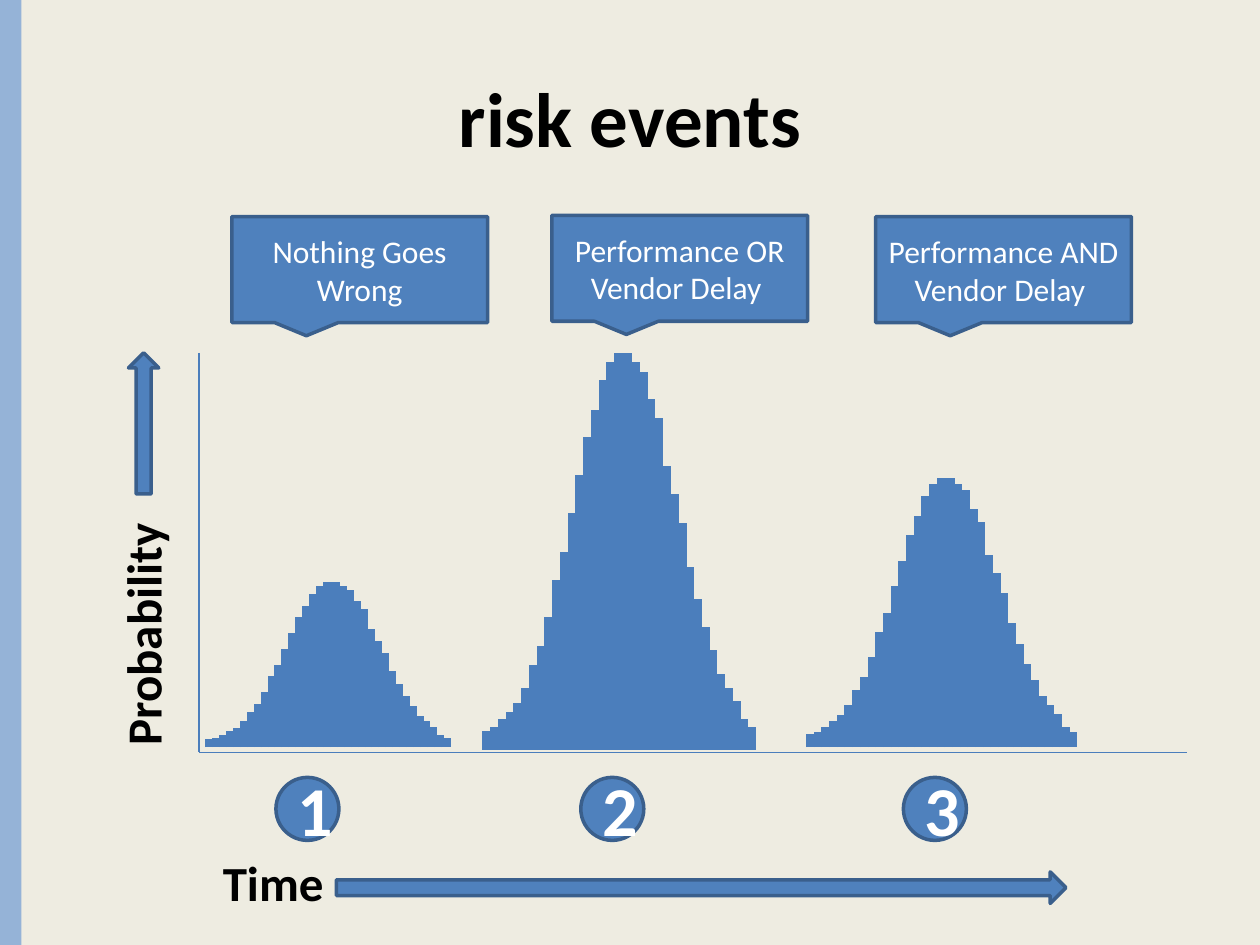
from pptx import Presentation
from pptx.dml.color import RGBColor
from pptx.enum.shapes import MSO_CONNECTOR, MSO_SHAPE
from pptx.enum.text import MSO_ANCHOR, PP_ALIGN
from pptx.oxml.ns import qn
from pptx.util import Inches, Pt
from lxml.etree import SubElement

FILL, OUTLINE, BAR = "4F81BD", "3A5F8C", "4B7EBC"
PEAK = 3.15
BELL = [0.15, 0.18, 0.24, 0.30, 0.37, 0.49, 0.67, 0.82, 1.05, 1.35, 1.57, 1.88,
        2.18, 2.48, 2.70, 2.93, 3.08, 3.15, 3.15, 3.08, 3.00, 2.78, 2.63, 2.25,
        2.03, 1.80, 1.45, 1.20, 0.97, 0.79, 0.60, 0.49, 0.39, 0.24, 0.18]
CURVES = [(1.67, 3.54, 5.93, 1.31), (6.44, 8.51, 5.93, 2.14), (3.87, 5.96, 5.95, PEAK)]
EVENTS = [(1.84, 1.72, "Nothing Goes Wrong", 2.19),
          (4.38, 1.71, "Performance OR Vendor Delay ", 4.61),
          (6.95, 1.72, "Performance AND Vendor Delay ", 7.17)]


def rgb(value):
    """Turn a hex string into a colour."""
    return RGBColor.from_string(value)


def write(tf, text, size, color, bold=False, align=None):
    """Write one run of text into a frame."""
    tf.word_wrap = True
    p = tf.paragraphs[0]
    p.alignment = align
    r = p.add_run()
    r.text = text
    r.font.name, r.font.size, r.font.bold = "Calibri", Pt(size), bold
    r.font.color.rgb = rgb(color)


def add_shape(s, kind, x, y, w, h, fill=FILL, line=OUTLINE):
    """Add a filled preset shape, outlined if a line colour is given."""
    sp = s.shapes.add_shape(kind, Inches(x), Inches(y), Inches(w), Inches(h))
    sp.shadow.inherit = False
    sp.fill.solid()
    sp.fill.fore_color.rgb = rgb(fill)
    if line:
        sp.line.color.rgb = rgb(line)
        sp.line.width = Pt(2)
    else:
        sp.line.fill.background()
    return sp


def add_labelled(s, kind, x, y, w, h, text, size, bold=False):
    """Add a shape with centred white text."""
    tf = add_shape(s, kind, x, y, w, h).text_frame
    tf.vertical_anchor = MSO_ANCHOR.MIDDLE
    write(tf, text, size, "FFFFFF", bold, PP_ALIGN.CENTER)


def add_line(shapes, x1, y1, x2, y2, width):
    """Add a straight line without a shadow."""
    c = shapes.add_connector(MSO_CONNECTOR.STRAIGHT, Inches(x1), Inches(y1),
                             Inches(x2), Inches(y2))
    c.line.color.rgb = rgb(BAR)
    c.line.width = Pt(width)
    SubElement(c._element.spPr, qn("a:effectLst"))


def add_curve(s, first, last, base, peak):
    """Add a bell curve as a group of evenly spaced bars."""
    group = s.shapes.add_group_shape()
    step = (last - first) / (len(BELL) - 1)
    for i, height in enumerate(BELL):
        x = first + i * step
        add_line(group.shapes, x, base, x, base - height * peak / PEAK, 6)


def add_axis_label(s, x, y, w, text, rotation=0):
    """Add a bold axis label."""
    tb = s.shapes.add_textbox(Inches(x), Inches(y), Inches(w), Inches(0.57))
    tb.rotation = rotation
    write(tb.text_frame, text, 28, "000000", True)


def add_title(s, text):
    """Place and fill the title."""
    title = s.shapes.title
    title.left, title.top = Inches(0.5), Inches(0.3)
    title.width, title.height = Inches(9), Inches(1.25)
    title.text_frame.vertical_anchor = MSO_ANCHOR.MIDDLE
    write(title.text_frame, text, 44, "000000", True, PP_ALIGN.CENTER)


def main():
    """Build the risk events slide."""
    prs = Presentation()
    prs.slide_width, prs.slide_height = Inches(10), Inches(7.5)
    s = prs.slides.add_slide(prs.slide_layouts[5])
    s.background.fill.solid()
    s.background.fill.fore_color.rgb = rgb("EEECE1")
    add_shape(s, MSO_SHAPE.RECTANGLE, 0, 0, 0.17, 7.5, "95B3D7", None)
    add_title(s, "risk events")
    add_line(s.shapes, 1.58, 2.8, 1.58, 5.97, 0.75)
    add_line(s.shapes, 9.42, 5.97, 1.58, 5.97, 0.75)
    for curve in CURVES:
        add_curve(s, *curve)
    for number, (x, y, text, circle_x) in enumerate(EVENTS, 1):
        add_labelled(s, MSO_SHAPE.OVAL, circle_x, 6.17, 0.5, 0.5, str(number), 40, True)
        add_labelled(s, MSO_SHAPE.RECTANGULAR_CALLOUT, x, y, 2.03, 0.84, text, 18)
    add_axis_label(s, 1.67, 6.72, 1.27, "Time")
    add_shape(s, MSO_SHAPE.RIGHT_ARROW, 2.67, 6.92, 5.79, 0.25)
    add_axis_label(s, -0.17, 4.43, 2.6, "Probability", 270)
    add_shape(s, MSO_SHAPE.RIGHT_ARROW, 0.58, 3.24, 1.12, 0.24).rotation = 270
    prs.save("out.pptx")


if __name__ == "__main__":
    main()
